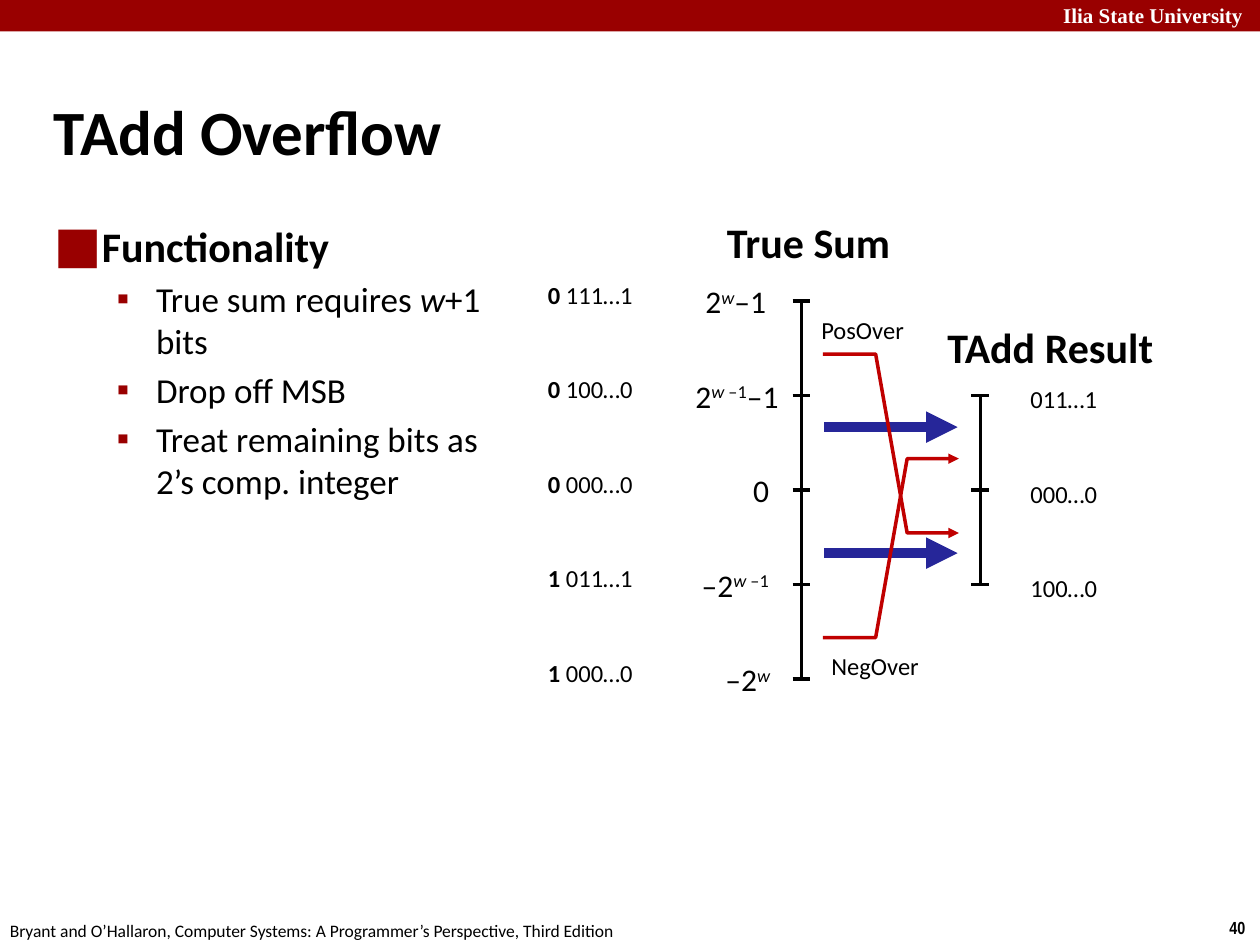
from dataclasses import dataclass

from lxml import etree
from pptx import Presentation
from pptx.dml.color import RGBColor
from pptx.enum import shapes, text
from pptx.oxml import ns
from pptx.util import Inches, Pt


@dataclass(frozen=True)
class Theme:
    accent: str = "990000"
    overflow: str = "C00000"
    normal: str = "262699"
    ink: str = "000000"
    paper: str = "FFFFFF"
    body_font: str = "Calibri"
    title: int = 36
    heading: int = 24
    body: int = 20
    value: int = 18
    label: int = 14
    header: int = 12
    small: int = 10
    thin: int = 2
    thick: int = 6


@dataclass(frozen=True)
class Box:
    left: float
    top: float
    width: float
    height: float

    def inside(self, left, top, width, height):
        return Box(self.left + left, self.top + top, width, height)

    def lengths(self):
        return [Inches(v) for v in (self.left, self.top, self.width, self.height)]


THEME = Theme()
BOLD = {"bold": True}
ITALIC = {"italic": True}
RAISED = {"baseline": 30000}
RAISED_ITALIC = {**RAISED, **ITALIC}


def add_child(parent, tag, **attributes):
    child = etree.SubElement(parent, ns.qn(tag))
    for name, value in attributes.items():
        child.set(name, value)
    return child


def add_run(paragraph, words, size, color=THEME.ink, font=THEME.body_font,
            bold=False, italic=False, baseline=None):
    run = paragraph.add_run()
    run.text = words
    run.font.size = Pt(size)
    run.font.name = font
    run.font.bold = bold
    run.font.italic = italic
    run.font.color.rgb = RGBColor.from_string(color)
    if baseline:
        run.font._element.set("baseline", str(baseline))


def set_indent(paragraph, margin, bullet=None, hanging=None, percent=100):
    properties = paragraph._p.get_or_add_pPr()
    properties.set("marL", str(Inches(margin)))
    properties.set("indent", str(-Inches(hanging or margin)))
    if bullet:
        add_child(add_child(properties, "a:buClr"), "a:srgbClr", val=THEME.accent)
        add_child(properties, "a:buSzPct", val=str(percent * 1000))
        add_child(properties, "a:buFont", typeface=THEME.body_font)
        add_child(properties, "a:buChar", char=bullet)


def add_text(slide, box, *runs, align="LEFT", anchor="TOP", **style):
    """Place one paragraph; each run is a string or a (string, format) pair."""
    frame = slide.shapes.add_textbox(*box.lengths()).text_frame
    frame.word_wrap = True
    frame.vertical_anchor = text.MSO_ANCHOR[anchor]
    if align == "LEFT":
        frame.margin_right = 0
    paragraph = frame.paragraphs[0]
    paragraph.alignment = text.PP_ALIGN[align]
    add_runs(paragraph, runs, **style)
    return frame


def add_runs(paragraph, runs, **style):
    for run in runs:
        words, extra = (run, {}) if isinstance(run, str) else run
        add_run(paragraph, words, **{**style, **extra})


def style_line(shape, color, width, arrow=False):
    shape.line.color.rgb = RGBColor.from_string(color)
    shape.line.width = Pt(width)
    if arrow:
        add_child(shape.line._get_or_add_ln(), "a:tailEnd", type="triangle")


def add_line(slide, x1, y1, x2, y2, color=THEME.ink, width=THEME.thin, arrow=False):
    line = slide.shapes.add_connector(
        shapes.MSO_CONNECTOR.STRAIGHT, *[Inches(v) for v in (x1, y1, x2, y2)])
    style_line(line, color, width, arrow)
    add_child(line._element.spPr, "a:effectLst")


def add_overflow_path(slide, x, start_y, end_y):
    start, bend, landing, end = x + 0.17, x + 0.59, x + 0.84, x + 1.25
    points = [(start, start_y), (bend, start_y), (landing, end_y), (end, end_y)]
    points = [(Inches(px), Inches(py)) for px, py in points]
    builder = slide.shapes.build_freeform(*points[0])
    builder.add_line_segments(points[1:], close=False)
    path = builder.convert_to_shape()
    path.fill.background()
    path.shadow.inherit = False
    style_line(path, THEME.overflow, THEME.thin, arrow=True)


def add_axis(slide, x, ticks):
    for y in ticks:
        add_line(slide, x - 0.07, y, x + 0.07, y)
    add_line(slide, x, ticks[0], x, ticks[-1])


def add_header(slide, box):
    band = slide.shapes.add_shape(shapes.MSO_SHAPE.RECTANGLE, *box.lengths())
    band.fill.solid()
    band.fill.fore_color.rgb = RGBColor.from_string(THEME.accent)
    band.line.fill.background()
    band.shadow.inherit = False
    add_text(slide, box.inside(8.34, -0.03, 1.73, 0.3), "Ilia State University",
             size=THEME.header, font="Times New Roman", color=THEME.paper, bold=True)


def add_footer(slide, box):
    add_text(slide, box.inside(9.66, 0, 0.34, 0.27), "40",
             size=THEME.small, font="Arial Narrow", bold=True)
    add_text(slide, box.inside(-0.02, 0.02, 5.08, 0.27),
             "Bryant and O’Hallaron, Computer Systems: "
             "A Programmer’s Perspective, Third Edition", size=THEME.small)


def add_title(slide, box):
    frame = add_text(slide, box, "TAdd Overflow", anchor="MIDDLE",
                     size=THEME.title, bold=True)
    set_indent(frame.paragraphs[0], 0.13)


def add_bullets(slide, box):
    frame = add_text(slide, box, "Functionality", size=THEME.heading, bold=True)
    set_indent(frame.paragraphs[0], 0.38, "■", percent=120)
    for runs in (["True sum requires ", ("w", ITALIC), "+1 bits"],
                 ["Drop off MSB"],
                 ["Treat remaining bits as 2’s comp. integer"]):
        paragraph = frame.add_paragraph()
        paragraph.level = 1
        paragraph.space_before = Pt(4)
        set_indent(paragraph, 0.81, "▪", hanging=0.31)
        add_runs(paragraph, runs, size=THEME.body)


def add_overflow_diagram(slide, box):
    """Map the true-sum scale onto the narrower result scale."""
    step = 0.75
    ticks = [0.72 + step * i for i in range(5)]
    sum_x, result_x = box.left + 2.11, box.left + 3.53
    first_y = box.top + ticks[0]

    add_text(slide, box.inside(1.42, 0, 1.51, 0.5), "True Sum",
             size=THEME.heading, bold=True)
    add_text(slide, box.inside(3.17, 0.83, 1.85, 0.5), "TAdd Result",
             size=THEME.heading, bold=True)

    add_axis(slide, sum_x, [box.top + y for y in ticks])
    add_axis(slide, result_x, [box.top + y for y in ticks[1:4]])

    sum_bits = [("0", "111…1"), ("0", "100…0"), ("0", "000…0"),
                ("1", "011…1"), ("1", "000…0")]
    sum_values = [
        (1.25, 0.7, "LEFT", ["2", ("w", RAISED_ITALIC), "–1"]),
        (1.17, 1.03, "LEFT", ["2", ("w ", RAISED_ITALIC), ("–1", RAISED), "–1"]),
        (1.63, 0.33, "LEFT", ["0"]),
        (1.17, 0.78, "RIGHT", ["–2", ("w ", RAISED_ITALIC), ("–1", RAISED)]),
        (1.38, 0.58, "RIGHT", ["–2", ("w", RAISED_ITALIC)]),
    ]
    for y, (sign, bits), (left, width, align, runs) in zip(ticks, sum_bits, sum_values):
        add_text(slide, box.inside(0, y - 0.22, 0.88, 0.33),
                 (sign, BOLD), " " + bits, size=THEME.label)
        add_text(slide, box.inside(left, y - 0.2, width, 0.4), *runs,
                 align=align, size=THEME.value)
    for y, bits in zip(ticks[1:4], ("011…1", "000…0", "100…0")):
        add_text(slide, box.inside(3.83, y - 0.14, 0.73, 0.33), bits, size=THEME.label)

    for y in (first_y + 1, first_y + 2):
        add_line(slide, sum_x + 0.18, y, sum_x + 1.24, y,
                 THEME.normal, THEME.thick, arrow=True)
    add_overflow_path(slide, sum_x, first_y + 0.42, first_y + 1.84)
    add_overflow_path(slide, sum_x, first_y + 2.67, first_y + 1.25)
    add_text(slide, box.inside(2.17, 0.78, 0.86, 0.34), "PosOver", size=THEME.label)
    add_text(slide, box.inside(2.25, 3.45, 0.9, 0.34), "NegOver", size=THEME.label)


def main():
    presentation = Presentation()
    presentation.slide_width, presentation.slide_height = Inches(10), Inches(7.5)
    slide = presentation.slides.add_slide(presentation.slide_layouts[6])
    add_header(slide, Box(0, 0, 10, 0.25))
    add_footer(slide, Box(0, 7.23, 10, 0.27))
    add_title(slide, Box(0.33, 0.73, 7.39, 0.61))
    add_bullets(slide, Box(0.33, 1.7, 3.62, 5.71))
    add_overflow_diagram(slide, Box(4.25, 1.67, 5.02, 3.83))
    presentation.save("out.pptx")


if __name__ == "__main__":
    main()
